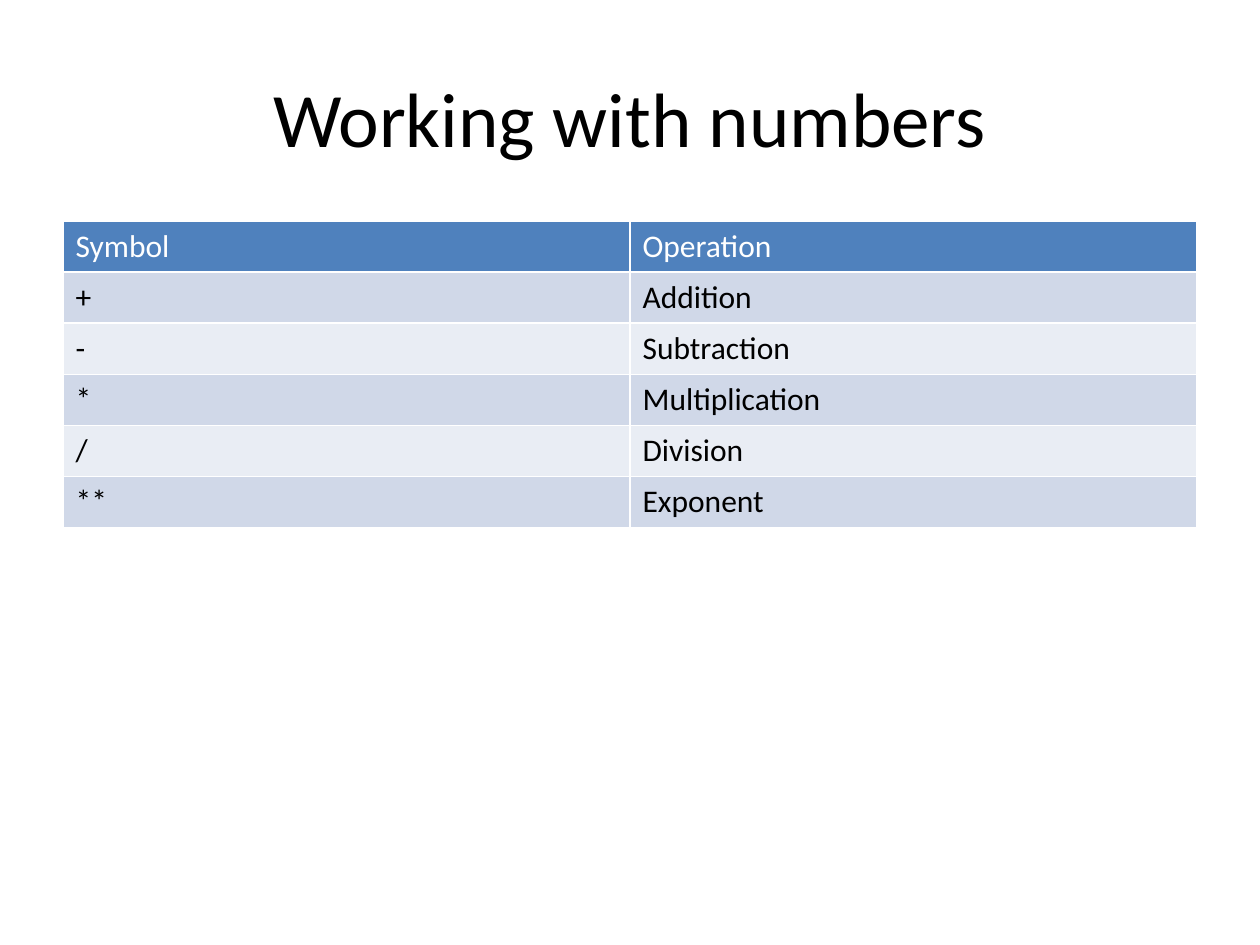
"""Build a slide with a table of arithmetic operators."""
from lxml import etree
from pptx import Presentation
from pptx import util as u
from pptx.dml.color import RGBColor
from pptx.enum import text as t
from pptx.oxml.ns import qn

TITLE = "Working with numbers"
ROWS = [
    ("Symbol", "Operation"),
    ("+", "Addition"),
    ("-", "Subtraction"),
    ("*", "Multiplication"),
    ("/", "Division"),
    ("**", "Exponent"),
]
COLORS = {
    "black": "000000",
    "white": "FFFFFF",
    "header": "4F81BD",
    "odd": "D0D8E8",
    "even": "E9EDF4",
}
FONT = "Calibri"
PAGE = (1260, 945)
TITLE_BOX = (63, 38, 1134, 157)
TABLE_LEFT, TABLE_TOP, TABLE_WIDTH, ROW_HEIGHT = 63, 221, 1134, 51


def px(length):
    return u.Emu(round(length * 914400 / 126))


def write(frame, text, size=18, color="black", align=t.PP_ALIGN.LEFT):
    para = frame.paragraphs[0]
    para.alignment = align
    span = para.add_run()
    span.text = text
    span.font.name = FONT
    span.font.size = u.Pt(size)
    span.font.bold = False
    span.font.color.rgb = RGBColor.from_string(COLORS[color])


def add_borders(cell, color="white", points=1):
    properties = cell._tc.get_or_add_tcPr()
    for side in ("lnL", "lnR", "lnT", "lnB"):
        line = etree.SubElement(properties, qn(f"a:{side}"), w=str(u.Pt(points)))
        fill = etree.SubElement(line, qn("a:solidFill"))
        etree.SubElement(fill, qn("a:srgbClr"), val=COLORS[color])


def add_title(page):
    box = page.shapes.title
    box.left, box.top, box.width, box.height = map(px, TITLE_BOX)
    box.text_frame.vertical_anchor = t.MSO_ANCHOR.MIDDLE
    write(box.text_frame, TITLE, size=44, align=t.PP_ALIGN.CENTER)


def add_operators(page):
    frame = page.shapes.add_table(
        len(ROWS), len(ROWS[0]), px(TABLE_LEFT), px(TABLE_TOP),
        px(TABLE_WIDTH), px(ROW_HEIGHT * len(ROWS)))
    for row, texts in enumerate(ROWS):
        band = "header" if row == 0 else ("even", "odd")[row % 2]
        for column, text in enumerate(texts):
            cell = frame.table.cell(row, column)
            add_borders(cell)
            cell.fill.solid()
            cell.fill.fore_color.rgb = RGBColor.from_string(COLORS[band])
            write(cell.text_frame, text, color="black" if row else "white")


def main():
    deck = Presentation()
    deck.slide_width, deck.slide_height = map(px, PAGE)
    page = deck.slides.add_slide(deck.slide_layouts[5])
    add_title(page)
    add_operators(page)
    deck.save("out.pptx")


if __name__ == "__main__":
    main()
